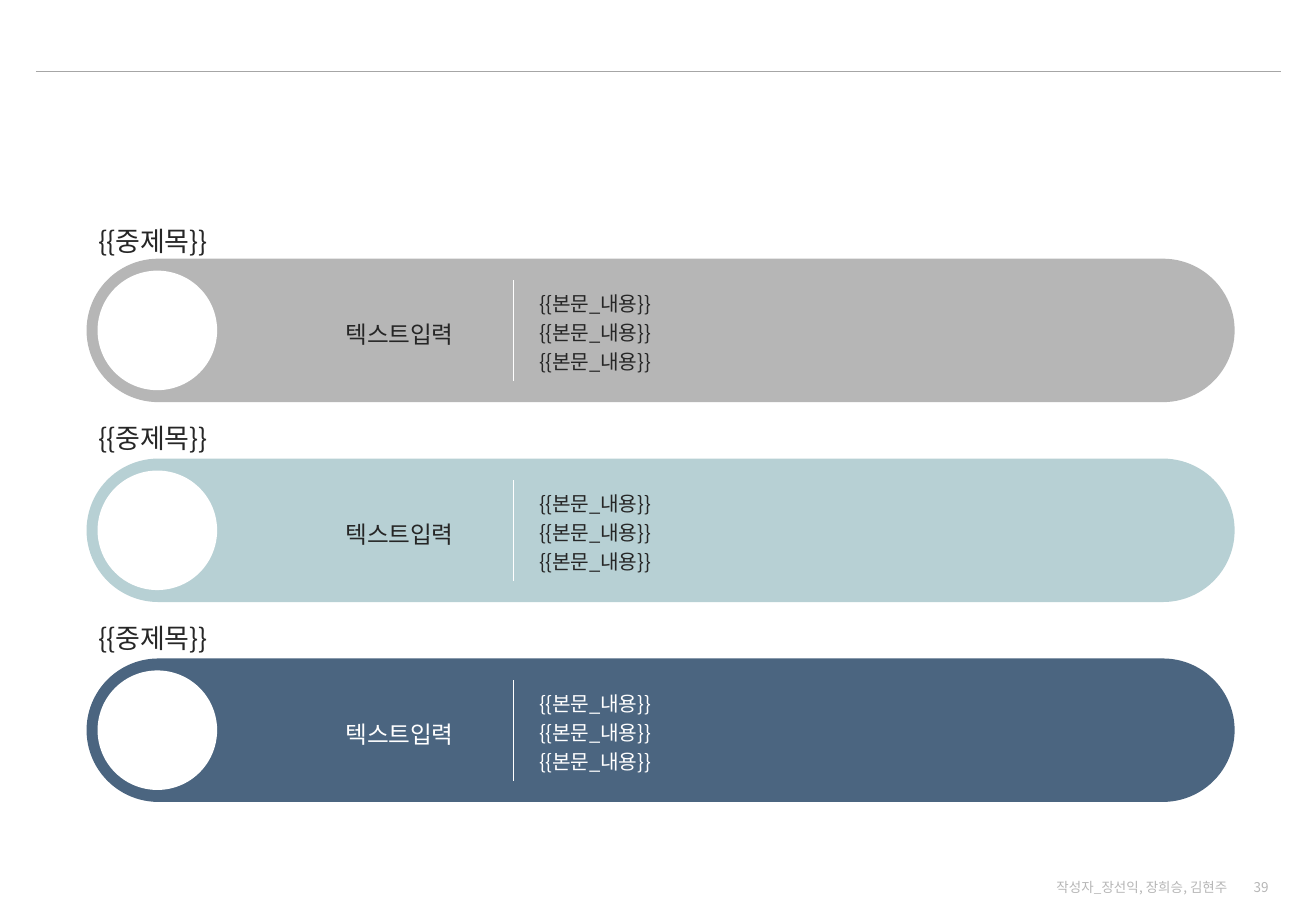
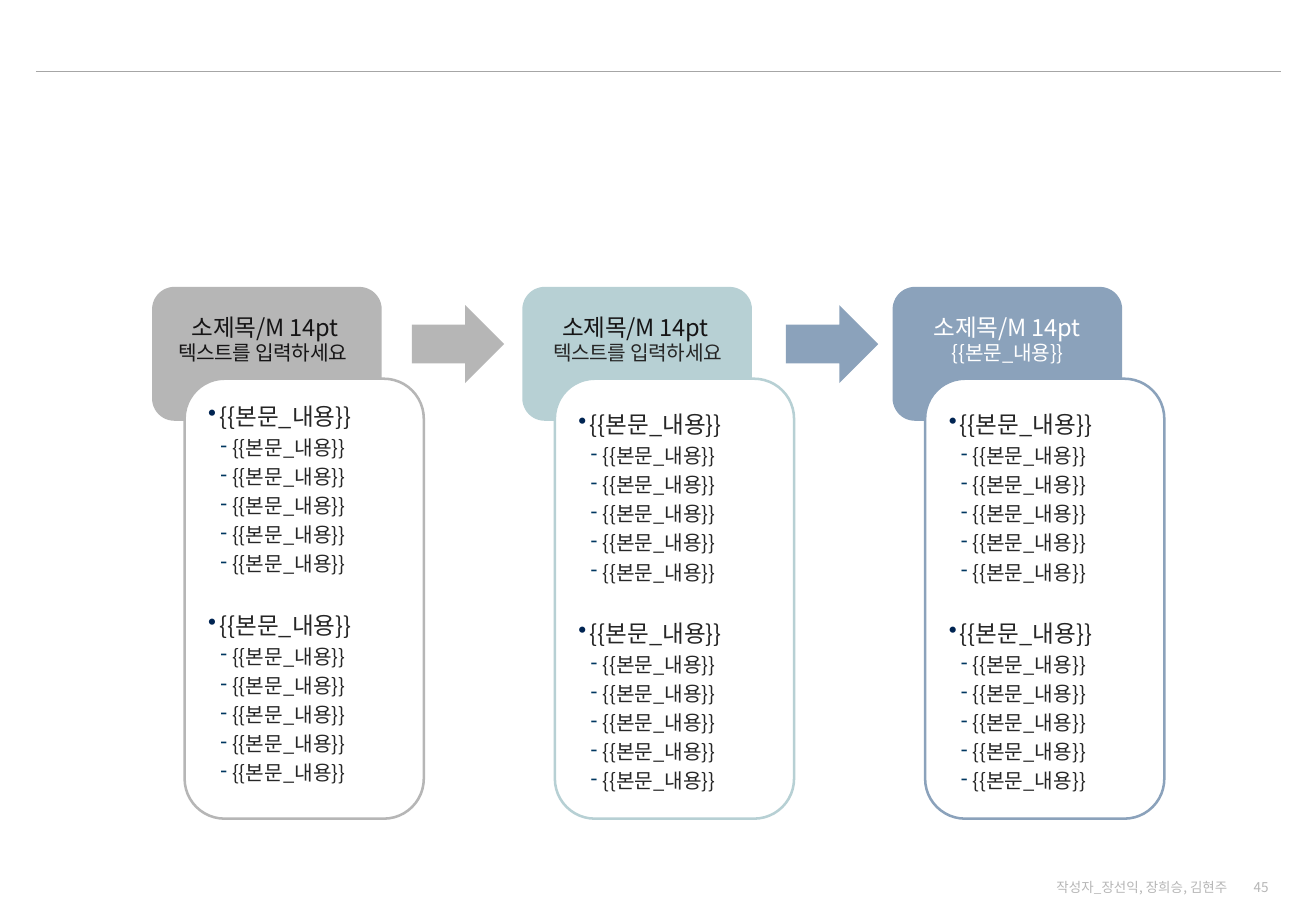
from lxml.etree import SubElement
from pptx import Presentation
from pptx.dml.color import RGBColor
from pptx.enum.shapes import MSO_CONNECTOR, MSO_SHAPE
from pptx.enum.text import MSO_ANCHOR, PP_ALIGN
from pptx.oxml.ns import qn
from pptx.util import Cm, Pt

FONT = "Noto Sans CJK KR"
GRAY = RGBColor(0xB6, 0xB6, 0xB6)
TEAL = RGBColor(0xB7, 0xD0, 0xD4)
NAVY = RGBColor(0x4B, 0x65, 0x80)
BLUE = RGBColor(0x8B, 0xA2, 0xBB)
WHITE = RGBColor(0xFF, 0xFF, 0xFF)
INK = RGBColor(0x26, 0x26, 0x26)
BLACK = RGBColor(0x16, 0x15, 0x16)
RULE = RGBColor(0xA6, 0xA6, 0xA6)
DOT = RGBColor(0x00, 0x24, 0x52)
DASH = RGBColor(0x00, 0x37, 0x60)
BODY = "{{본문_내용}}"


def add_panel(slide, kind, box, fill, corner=None):
    panel = slide.shapes.add_shape(kind, *map(Cm, box))
    panel.shadow.inherit = False
    panel.fill.solid()
    panel.fill.fore_color.rgb = fill
    panel.line.fill.background()
    if corner is not None:
        panel.adjustments[0] = corner
    return panel


def write(frame, lines, size, colour, align=PP_ALIGN.LEFT, spacing=1.2, tracking=-20):
    frame.word_wrap = True
    frame.text = "\n".join(lines)
    for para in frame.paragraphs:
        para.alignment = align
        para.line_spacing = spacing
        for span in para.runs:
            span.font.size = Pt(size)
            span.font.color.rgb = colour
            span.font.name = FONT
            properties = span.font._element
            properties.set("spc", str(tracking))
            SubElement(properties, qn("a:ea"), typeface=FONT)


deck = Presentation()
deck.slide_width = Cm(27.51)
deck.slide_height = Cm(19.05)
blank = deck.slide_layouts[6]
bars_page = deck.slides.add_slide(blank)
steps_page = deck.slides.add_slide(blank)

rule = bars_page.shapes.add_connector(
    MSO_CONNECTOR.STRAIGHT, Cm(0.75), Cm(1.49), Cm(26.77), Cm(1.49))
rule.element.nvCxnSpPr.cNvPr.set("id", "20")
deck.slide_master.shapes.element.append(rule.element)
lines = [(rule, RULE)]

for page, number in ((bars_page, "39"), (steps_page, "45")):
    for text, left, width in ((number, 25.73, 1.04),
                              ("작성자_장선익, 장희승, 김현주", 21.64, 4.27)):
        box = page.shapes.add_textbox(Cm(left), Cm(18.34), Cm(width), Cm(0.41))
        box.text_frame.vertical_anchor = MSO_ANCHOR.MIDDLE
        write(box.text_frame, [text], 8, GRAY, PP_ALIGN.RIGHT, 1.0, 0)

bars = ((GRAY, INK, 0.97), (TEAL, INK, 1.04), (NAVY, WHITE, 1.04))
for row, (fill, ink, heading_rise) in enumerate(bars):
    top = 5.41 + 4.18 * row
    add_panel(bars_page, MSO_SHAPE.ROUNDED_RECTANGLE, (1.81, top, 24, 3), fill, 0.5)
    add_panel(bars_page, MSO_SHAPE.OVAL, (2.04, top + 0.25, 2.5, 2.5), WHITE)
    divider = bars_page.shapes.add_connector(
        MSO_CONNECTOR.STRAIGHT, Cm(10.74), Cm(top + 0.45), Cm(10.74), Cm(top + 2.56))
    lines.append((divider, WHITE))
    for texts, size, colour, place in (
            (["{{중제목}}"], 16, INK, (1.8, top - heading_rise, 9.98, 1.07)),
            (["텍스트입력"], 14, ink, (6.98, top + 1.04, 3.2, 0.97)),
            ([BODY] * 3, 12, ink, (11.02, top + 0.46, 11.73, 2.08))):
        box = bars_page.shapes.add_textbox(*map(Cm, place))
        write(box.text_frame, texts, size, colour)

for line, colour in lines:
    line.line.color.rgb = colour
    line.line.width = Pt(0.75)
    SubElement(line.element.spPr, qn("a:effectLst"))

prompt = "텍스트를 입력하세요"
steps = (
    (GRAY, BLACK, prompt, BLACK, 0.05, 0, MSO_ANCHOR.TOP),
    (TEAL, BLACK, prompt, INK, 0.05, 0.1, MSO_ANCHOR.MIDDLE),
    (BLUE, WHITE, BODY, WHITE, 0.08, 0.1, MSO_ANCHOR.MIDDLE),
)
for column, (fill, title_ink, subtitle, ink, title_shift, shift, anchor) in enumerate(steps):
    left = 3.18 + 7.74 * column
    add_panel(steps_page, MSO_SHAPE.ROUNDED_RECTANGLE, (left, 6, 4.8, 2.8), fill, 0.167)
    card = add_panel(steps_page, MSO_SHAPE.ROUNDED_RECTANGLE,
                     (left + 0.68, 7.92, 5, 9.2), WHITE, 0.167)
    card.line.color.rgb = fill
    card.line.width = Pt(1.5)
    card.text_frame.vertical_anchor = anchor
    write(card.text_frame, [BODY] * 12, 12, INK, tracking=0)
    for index, para in enumerate(card.text_frame.paragraphs):
        leads = index % 6 == 0
        para.level = 0 if leads else 1
        if leads:
            para.runs[0].font.size = Pt(14)
        if leads and index:
            para.space_before = Pt(17.3)
        margin, hang, mark, colour = (0.23, 0.23, "•", DOT) if leads else (0.5, 0.25, "‐", DASH)
        properties = para._p.get_or_add_pPr()
        properties.set("marL", str(Cm(margin)))
        properties.set("indent", str(-Cm(hang)))
        SubElement(SubElement(properties, qn("a:buClr")), qn("a:srgbClr"), val=str(colour))
        SubElement(properties, qn("a:buChar"), char=mark)
    for text, size, colour, offset, top in (
            ("소제목/M 14pt", 14, title_ink, title_shift, 6.3),
            (subtitle, 12, ink, shift, 6.9)):
        box = steps_page.shapes.add_textbox(Cm(left + offset), Cm(top), Cm(4.62), Cm(0.9))
        write(box.text_frame, [text], size, colour, PP_ALIGN.CENTER)

for left, fill in ((8.61, GRAY), (16.43, BLUE)):
    add_panel(steps_page, MSO_SHAPE.RIGHT_ARROW, (left, 6.38, 1.93, 1.63), fill, 0.5)

deck.save("out.pptx")
